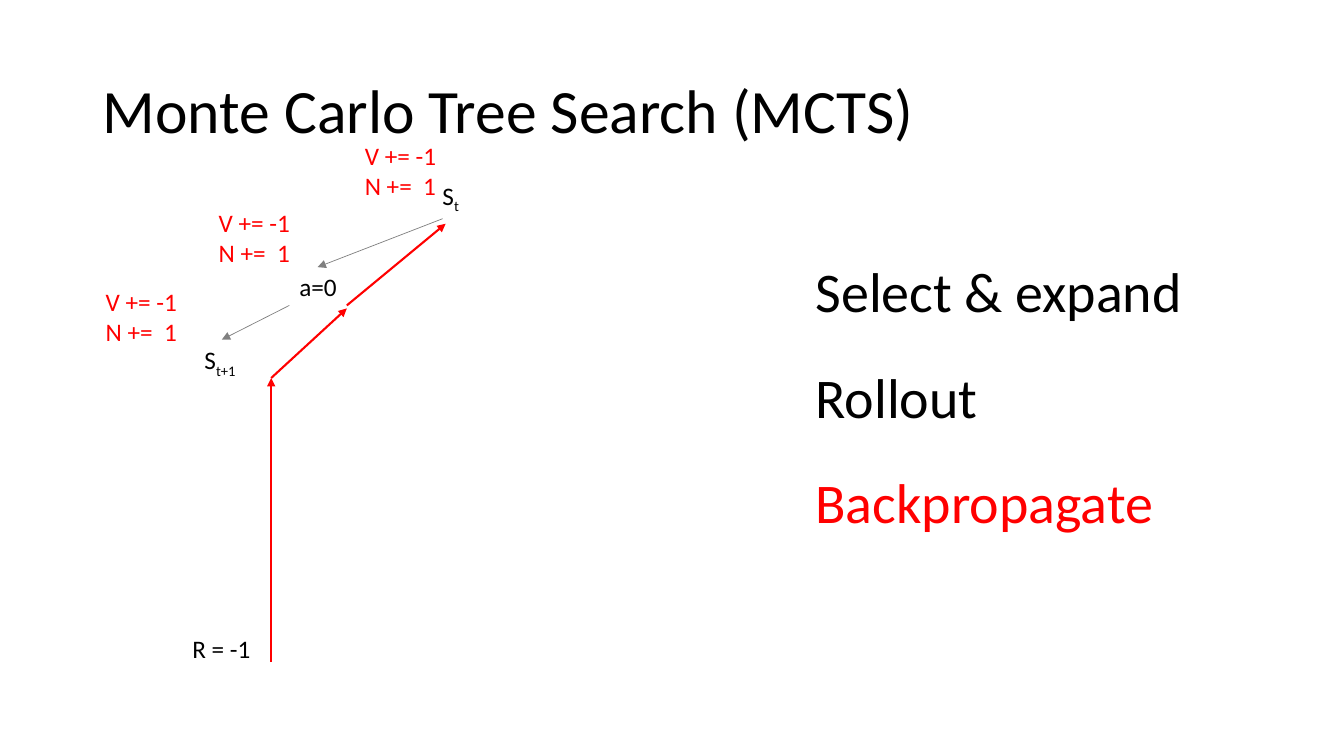
from pptx import Presentation
from pptx.dml.color import RGBColor
from pptx.enum import shapes, text
from pptx.oxml import ns
from pptx.util import Inches, Pt
from lxml import etree

COLORS = {"ink": "000000", "update": "FF0000", "branch": "808080"}


def rgb(name):
    return RGBColor.from_string(COLORS[name])


def add_run(p, words, size, color="ink", subscript=False):
    r = p.add_run()
    r.text = words
    for key, value in {"name": "Calibri", "size": Pt(size)}.items():
        setattr(r.font, key, value)
    r.font.color.rgb = rgb(color)
    if subscript:
        r._r.get_or_add_rPr().set("baseline", "-25000")


def add_title(s, words):
    title = s.shapes.title
    box = {"left": 0.92, "top": 0.4, "width": 11.5, "height": 1.45}
    for key, value in box.items():
        setattr(title, key, Inches(value))
    tf = title.text_frame
    tf.auto_size = text.MSO_AUTO_SIZE.NONE
    tf.vertical_anchor = text.MSO_ANCHOR.MIDDLE
    p = tf.paragraphs[0]
    p.alignment = text.PP_ALIGN.LEFT
    p.line_spacing = 0.9
    add_run(p, words, 44)


def add_label(s, box, lines, size=18, color="ink", sub="", wrap=True):
    sp = s.shapes.add_textbox(*[Inches(v) for v in box])
    tf = sp.text_frame
    tf.word_wrap = wrap
    tf.auto_size = text.MSO_AUTO_SIZE.SHAPE_TO_FIT_TEXT
    for i, line in enumerate(lines):
        p = tf.add_paragraph() if i else tf.paragraphs[0]
        add_run(p, line, size, color)
    if sub:
        add_run(p, sub, size, color, subscript=True)


def add_arrow(s, start, end, color, width):
    ends = [Inches(v) for v in (*start, *end)]
    arrow = s.shapes.add_connector(shapes.MSO_CONNECTOR.STRAIGHT, *ends)
    arrow.line.color.rgb = rgb(color)
    arrow.line.width = Pt(width)
    etree.SubElement(arrow.line._get_or_add_ln(), ns.qn("a:tailEnd"), type="triangle")
    etree.SubElement(arrow._element.spPr, ns.qn("a:effectLst"))


def main():
    prs = Presentation()
    prs.slide_width, prs.slide_height = Inches(13.33), Inches(7.5)
    s = prs.slides.add_slide(prs.slide_layouts[5])
    add_title(s, "Monte Carlo Tree Search (MCTS)")

    # Phases of the search
    phases = [("Select & expand", "ink"), ("Rollout", "ink"), ("Backpropagate", "update")]
    for i, (phase, color) in enumerate(phases):
        add_label(s, (7.99, 2.5 + 1.045 * i, 3.89, 0.77), [phase], 40, color)

    # Tree nodes and the rollout reward
    add_label(s, (4.29, 1.74, 0.37, 0.4), ["S"], sub="t", wrap=False)
    add_label(s, (2.87, 2.64, 0.58, 0.4), ["a=0"], wrap=False)
    add_label(s, (1.93, 3.37, 0.54, 0.4), ["S"], sub="t+1", wrap=False)
    add_label(s, (1.81, 6.23, 0.83, 0.4), ["R = -1"])

    # Selected branches going down
    for start, end in [((4.39, 2.17), (3.15, 2.65)), ((2.87, 3.03), (2.2, 3.37))]:
        add_arrow(s, start, end, "branch", 0.5)

    # Reward carried back up
    for start, end in [((2.69, 6.57), (2.69, 3.75)),
                       ((2.69, 3.75), (3.44, 3.06)),
                       ((3.44, 3.03), (4.42, 2.22))]:
        add_arrow(s, start, end, "update", 1.5)

    # Value and visit updates at each node
    for left, top in [(0.95, 2.79), (2.07, 2.01), (3.52, 1.34)]:
        add_label(s, (left, top, 0.97, 0.71), ["V += -1", "N +=  1"], color="update")

    prs.save("out.pptx")


if __name__ == "__main__":
    main()
